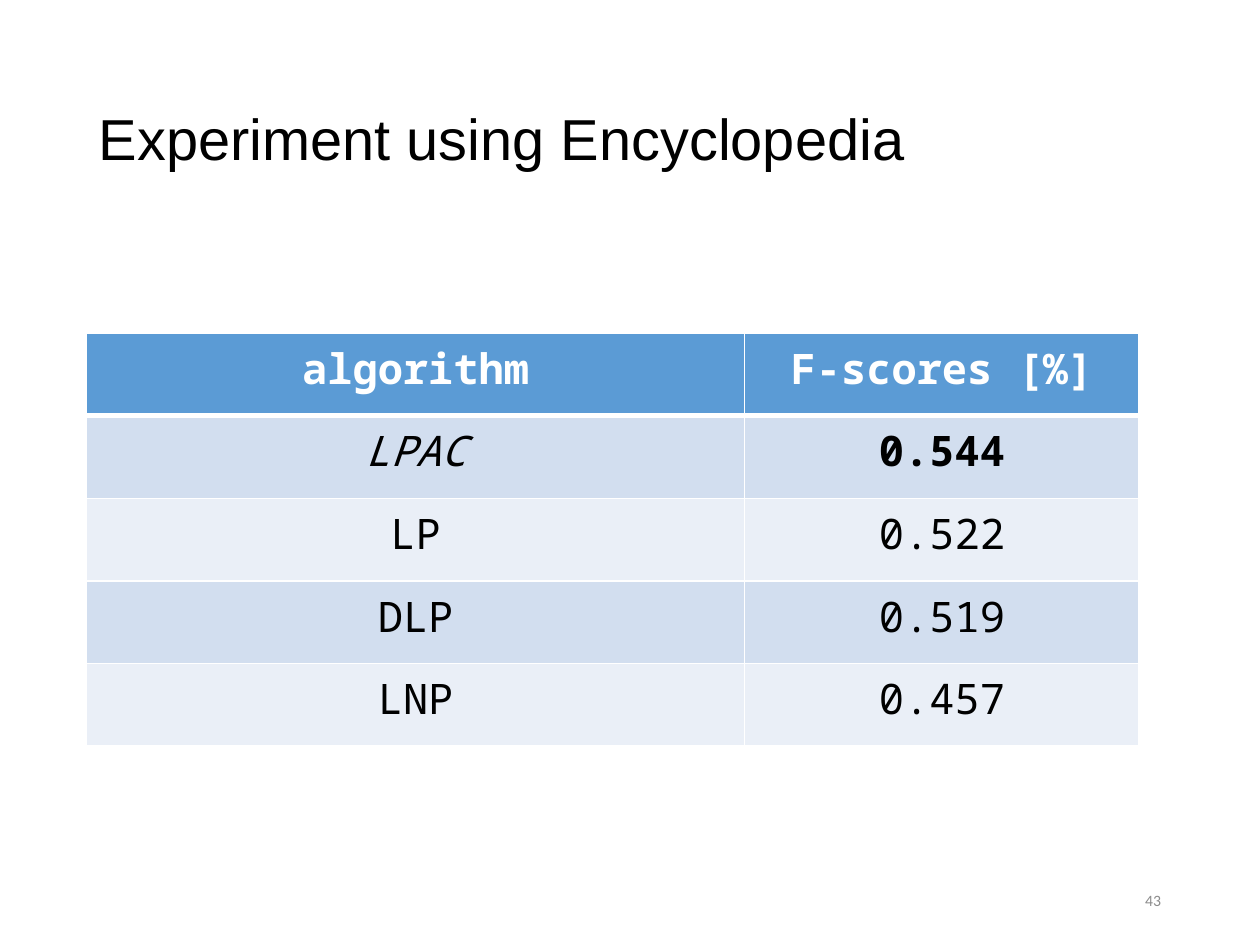
from lxml.etree import SubElement
from pptx import Presentation
from pptx.dml.color import RGBColor
from pptx.enum.text import MSO_ANCHOR, PP_ALIGN
from pptx.oxml.ns import qn
from pptx.util import Pt

BLACK = RGBColor(0x00, 0x00, 0x00)
WHITE = RGBColor(0xFF, 0xFF, 0xFF)
GREY = RGBColor(0x8C, 0x8C, 0x8C)
HEADER = RGBColor(0x5B, 0x9B, 0xD5)
BANDS = [RGBColor(0xEA, 0xEF, 0xF7), RGBColor(0xD2, 0xDE, 0xEF)]

ROWS = [
    ("algorithm", "F-scores [%]"),
    ("LPAC", "0.544"),
    ("LP", "0.522"),
    ("DLP", "0.519"),
    ("LNP", "0.457"),
]
COL_WIDTHS = [Pt(376), Pt(225.5)]
ROW_HEIGHT = Pt(47.25)


def add_text(left, top, width, height, text, font, size, color, align):
    tf = slide.shapes.add_textbox(left, top, width, height).text_frame
    tf.word_wrap = True
    tf.vertical_anchor = MSO_ANCHOR.MIDDLE
    p = tf.paragraphs[0]
    p.text = text
    p.alignment = align
    p.line_spacing = 0.9
    r = p.runs[0]
    r.font.name = font
    r.font.size = size
    r.font.color.rgb = color


def add_border(cell, side, width):
    ln = SubElement(cell._tc.get_or_add_tcPr(), qn(f"a:ln{side}"), w=str(width))
    fill = SubElement(ln, qn("a:solidFill"))
    SubElement(fill, qn("a:srgbClr"), val=str(WHITE))


prs = Presentation()
prs.slide_width = Pt(720)
prs.slide_height = Pt(540)
slide = prs.slides.add_slide(prs.slide_layouts[6])

add_text(Pt(49.5), Pt(28.75), Pt(621), Pt(104.4), "Experiment using Encyclopedia",
         "Arial", Pt(33), BLACK, PP_ALIGN.LEFT)
add_text(Pt(508.5), Pt(500.5), Pt(162), Pt(28.75), "43",
         "Calibri", Pt(9), GREY, PP_ALIGN.RIGHT)

table = slide.shapes.add_table(len(ROWS), len(COL_WIDTHS), Pt(49.5), Pt(190.25),
                               sum(COL_WIDTHS), ROW_HEIGHT * len(ROWS)).table
for column, width in zip(table.columns, COL_WIDTHS):
    column.width = width

for i, values in enumerate(ROWS):
    table.rows[i].height = ROW_HEIGHT
    for j, value in enumerate(values):
        cell = table.cell(i, j)
        add_border(cell, "L", Pt(1))
        add_border(cell, "R", Pt(1))
        add_border(cell, "T", Pt(3) if i == 1 else Pt(1))
        add_border(cell, "B", Pt(3) if i == 0 else Pt(1))
        cell.fill.solid()
        cell.fill.fore_color.rgb = HEADER if i == 0 else BANDS[i % 2]

        p = cell.text_frame.paragraphs[0]
        p.text = value
        p.alignment = PP_ALIGN.CENTER
        r = p.runs[0]
        r.font.name = "Noto Sans Mono"
        r.font.size = Pt(24)
        r.font.color.rgb = WHITE if i == 0 else BLACK
        r.font.bold = i == 0 or (i, j) == (1, 1)
        r.font.italic = (i, j) == (1, 0)

prs.save("out.pptx")
